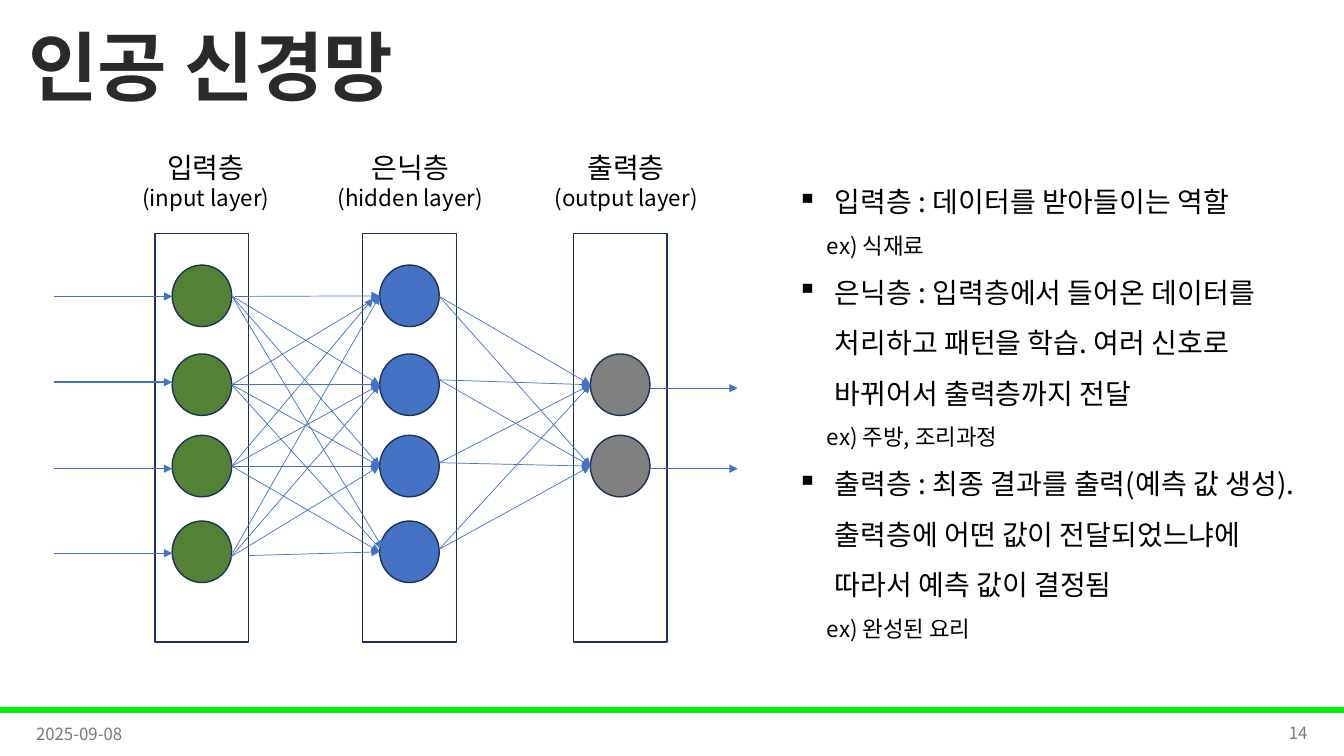
from dataclasses import dataclass
from lxml.etree import SubElement
from pptx import Presentation
from pptx.dml.color import RGBColor
from pptx.enum.shapes import MSO_CONNECTOR, MSO_SHAPE
from pptx.enum.text import MSO_ANCHOR, MSO_AUTO_SIZE, PP_ALIGN
from pptx.oxml.ns import qn
from pptx.util import Cm, Pt


@dataclass(frozen=True)
class Theme:
    font: str = "Noto Sans CJK KR"
    title: str = "2A2A2A"
    text: str = "000000"
    footer: str = "797979"
    bar: str = "00F209"
    outline: str = "1E3256"
    input: str = "548235"
    hidden: str = "4472C4"
    output: str = "808080"
    arrow: str = "4472C4"
    title_size: int = 54
    heading_size: int = 20
    detail_size: int = 16
    footer_size: int = 12


theme = Theme()


def write(text_frame, lines, color, alignment=PP_ALIGN.LEFT, anchor=MSO_ANCHOR.TOP):
    text_frame.word_wrap = True
    text_frame.auto_size = MSO_AUTO_SIZE.NONE
    text_frame.vertical_anchor = anchor
    text_frame.text = "\n".join(text for text, size in lines)
    for paragraph, (text, size) in zip(text_frame.paragraphs, lines):
        paragraph.alignment = alignment
        for run in paragraph.runs:
            run.font.size = Pt(size)
            run.font.color.rgb = RGBColor.from_string(color)
            run.font.name = theme.font
            east_asian = SubElement(run.font._element, qn("a:ea"))
            east_asian.set("typeface", theme.font)


def add_arrow(start, end, width):
    connector = slide.shapes.add_connector(
        MSO_CONNECTOR.STRAIGHT, Cm(start[0]), Cm(start[1]), Cm(end[0]), Cm(end[1]))
    connector.line.color.rgb = RGBColor.from_string(theme.arrow)
    connector.line.width = Pt(width)
    SubElement(connector.line._get_or_add_ln(), qn("a:tailEnd")).set("type", "triangle")
    SubElement(connector._element.spPr, qn("a:effectLst"))


presentation = Presentation()
presentation.slide_width = Cm(33.87)
presentation.slide_height = Cm(19.05)
slide = presentation.slides.add_slide(presentation.slide_layouts[5])

title = slide.shapes.title
title.left, title.top, title.width, title.height = Cm(0.46), Cm(0.36), Cm(17.63), Cm(2.84)
write(title.text_frame, [("인공 신경망", theme.title_size)], theme.title, anchor=MSO_ANCHOR.MIDDLE)
title.text_frame.paragraphs[0].line_spacing = 0.9
title.text_frame.paragraphs[0].runs[0].font.bold = True

bar = slide.shapes.add_shape(MSO_SHAPE.RECTANGLE, Cm(0), Cm(17.83), Cm(33.87), Cm(0.13))
bar.shadow.inherit = False
bar.fill.solid()
bar.fill.fore_color.rgb = RGBColor.from_string(theme.bar)
bar.line.color.rgb = RGBColor.from_string(theme.bar)
bar.line.width = Pt(1)

for text, left, top, alignment in [
    ("2025-09-08", 0.66, 17.98, PP_ALIGN.LEFT),
    ("14", 25.58, 17.96, PP_ALIGN.RIGHT),
]:
    footer = slide.shapes.add_textbox(Cm(left), Cm(top), Cm(7.62), Cm(1.02))
    write(footer.text_frame, [(text, theme.footer_size)], theme.footer, alignment, MSO_ANCHOR.MIDDLE)

node_width, node_height, node_inset = 1.5, 1.55, 0.43
node_tops = [6.68, 8.92, 10.97, 13.13]
layers = [
    ("입력층", "(input layer)", 2.67, 3.68, 5.03, 3.91, node_tops, theme.input),
    ("은닉층", "(hidden layer)", 7.7, 3.66, 5.28, 9.14, node_tops, theme.hidden),
    ("출력층", "(output layer)", 13, 3.66, 5.56, 14.45, node_tops[1:3], theme.output),
]
for name, english, label_left, label_top, label_width, left, tops, color in layers:
    label = slide.shapes.add_textbox(Cm(label_left), Cm(label_top), Cm(label_width), Cm(1.8))
    write(label.text_frame, [(name, theme.heading_size), (english, theme.detail_size)],
          theme.text, PP_ALIGN.CENTER)
    frame = slide.shapes.add_shape(MSO_SHAPE.RECTANGLE, Cm(left), Cm(5.89), Cm(2.36), Cm(10.29))
    frame.fill.background()
    nodes = [
        slide.shapes.add_shape(
            MSO_SHAPE.OVAL, Cm(left + node_inset), Cm(top), Cm(node_width), Cm(node_height))
        for top in tops
    ]
    for node in nodes:
        node.fill.solid()
        node.fill.fore_color.rgb = RGBColor.from_string(color)
    for shape in [frame, *nodes]:
        shape.shadow.inherit = False
        shape.line.color.rgb = RGBColor.from_string(theme.outline)
        shape.line.width = Pt(1)

input_left, hidden_left, output_left = [layer[5] + node_inset for layer in layers]
input_right, hidden_right, output_right = [
    left + node_width for left in (input_left, hidden_left, output_left)]
centers = [top + node_height / 2 for top in node_tops]

for height in [7.47, 9.63, 11.81, 13.94]:
    add_arrow((1.35, height), (input_left, height), 1)

shifted_starts = {(0, 0): (5.92, 7.47), (3, 0): (5.87, 13.92), (3, 1): (5.79, 14.07),
                  (3, 2): (5.79, 14.05), (3, 3): (6.27, 14)}
shifted_ends = {(0, 3): (9.65, 13.82), (1, 3): (9.78, 14.05), (2, 0): (9.4, 7.52)}
for source, source_height in enumerate(centers):
    for target, target_height in enumerate(centers):
        pair = source, target
        add_arrow(shifted_starts.get(pair, (input_right, source_height)),
                  shifted_ends.get(pair, (hidden_left, target_height)), 0.5)

for source_height in [7.47, 9.57, 11.66, 13.84]:
    for target_height in centers[1:3]:
        add_arrow((hidden_right, source_height), (output_left, target_height), 0.5)

for height in [9.78, 11.81]:
    add_arrow((output_right, height), (18.59, height), 0.5)

descriptions = [
    ("입력층 : 데이터를 받아들이는 역할", "ex) 식재료"),
    ("은닉층 : 입력층에서 들어온 데이터를 처리하고 패턴을 학습. 여러 신호로 바뀌어서 출력층까지 전달",
     "ex) 주방, 조리과정"),
    ("출력층 : 최종 결과를 출력(예측 값 생성). 출력층에 어떤 값이 전달되었느냐에 따라서 예측 값이 결정됨",
     "ex) 완성된 요리"),
]
lines = [
    line
    for role, example in descriptions
    for line in [(role, theme.heading_size), (example, theme.detail_size)]
]
explanation = slide.shapes.add_textbox(Cm(19.84), Cm(4.11), Cm(13.06), Cm(12.57))
write(explanation.text_frame, lines, theme.text)
for paragraph, (text, size) in zip(explanation.text_frame.paragraphs, lines):
    properties = paragraph._element.get_or_add_pPr()
    if size == theme.heading_size:
        properties.set("marL", str(Cm(0.95)))
        properties.set("indent", str(Cm(-0.95)))
        SubElement(properties, qn("a:buChar")).set("char", "▪")
    else:
        properties.set("marL", str(Cm(0.75)))
    paragraph.line_spacing = 1.5

presentation.save("out.pptx")
